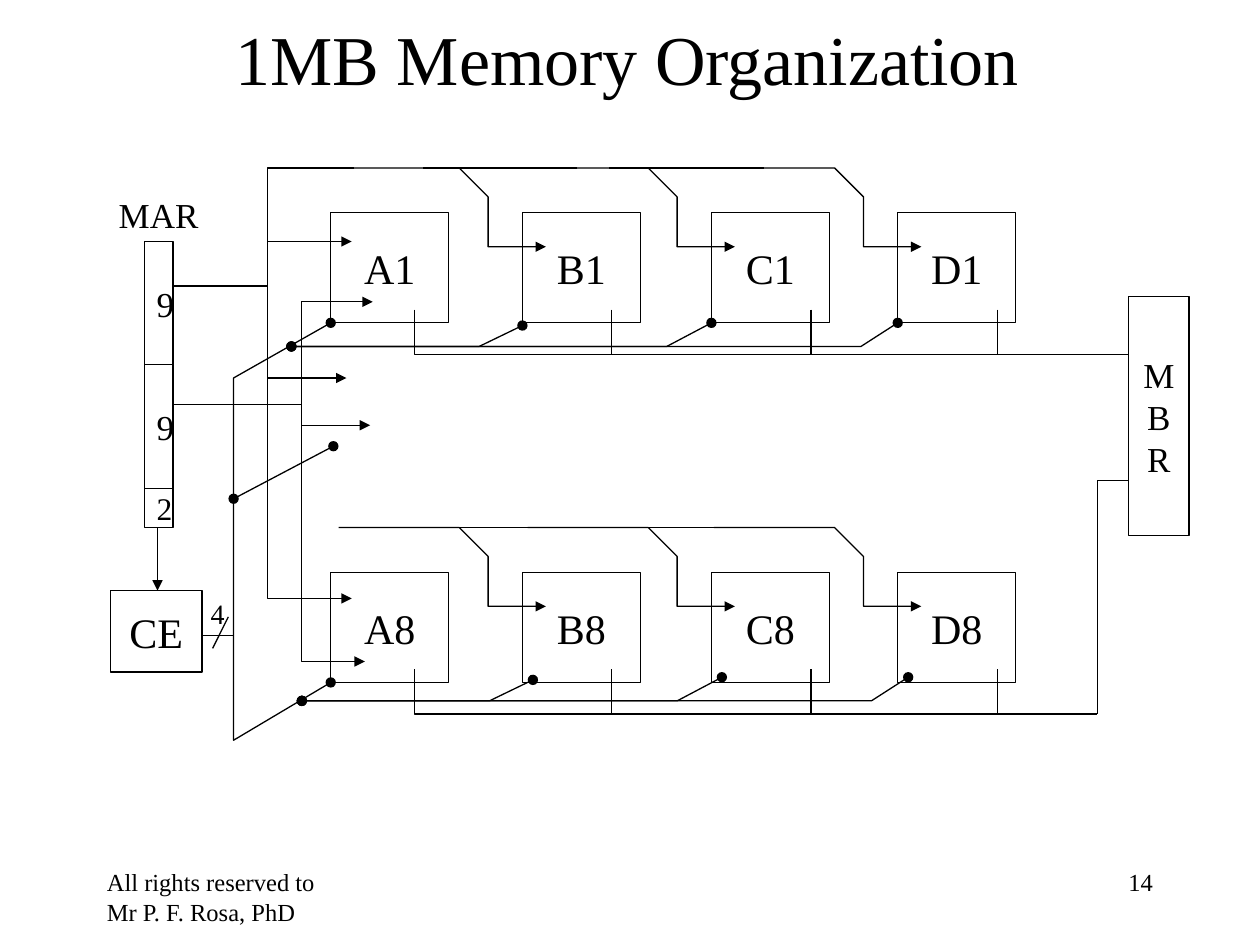
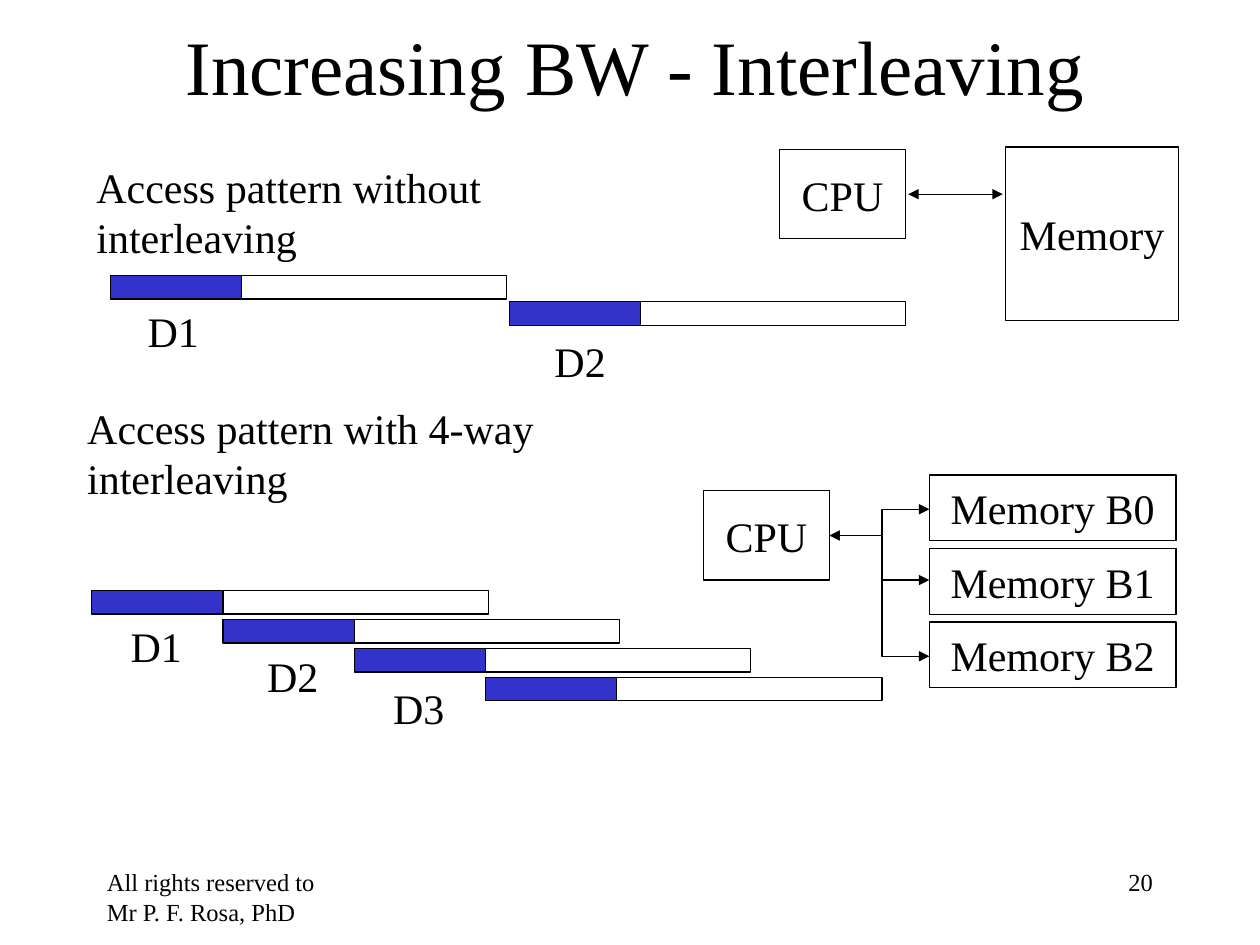
from lxml.etree import SubElement
from pptx import Presentation
from pptx.dml.color import RGBColor
from pptx.enum.shapes import MSO_CONNECTOR as CONNECTOR, MSO_SHAPE as SHAPE
from pptx.enum.text import MSO_ANCHOR as ANCHOR, MSO_AUTO_SIZE as AUTO, PP_ALIGN as ALIGN
from pptx.oxml.ns import qn
from pptx.util import Pt

PX = 9525  # EMU per px, 96 px to the inch
FONT = "Times New Roman"
BLACK, WHITE, BLUE = "000000", "FFFFFF", "3333CC"
FOOTER = "All rights reserved to Mr P. F. Rosa, PhD"
ARROW, DOT = "triangle", "oval"


def rgb(value):
    return RGBColor.from_string(value)


def emu(*lengths):
    return [n * PX for n in lengths]


def apply(target, values):
    for name, value in values.items():
        setattr(target, name, value)


class Deck:
    def __init__(self):
        self.prs = Presentation()
        apply(self.prs, {"slide_width": 960 * PX, "slide_height": 720 * PX})
        self.slide = None

    def new_slide(self, title, box, size, number):
        """Add a slide with its title, footer and page number."""
        self.slide = self.prs.slides.add_slide(self.prs.slide_layouts[5])
        sp = self.slide.shapes.title
        apply(sp, dict(zip(("left", "top", "width", "height"), emu(*box))))
        self.set_text(sp, title, size, ALIGN.CENTER, ANCHOR.MIDDLE)
        self.text(FOOTER, 72, 656, 200, 48, 14)
        self.text(str(number), 688, 656, 200, 48, 14, ALIGN.RIGHT)

    def set_text(self, sp, text, size, align, anchor):
        tf = sp.text_frame
        tf.text = text
        apply(tf, {"word_wrap": True, "auto_size": AUTO.NONE, "vertical_anchor": anchor})
        for p in tf.paragraphs:
            p.alignment = align
            for r in p.runs:
                apply(r.font, {"name": FONT, "size": Pt(size)})
                r.font.color.rgb = rgb(BLACK)

    def text(self, text, x, y, w, h, size=24, align=ALIGN.LEFT):
        sp = self.slide.shapes.add_textbox(*emu(x, y, w, h))
        self.set_text(sp, text, size, align, ANCHOR.TOP)

    def box(self, x, y, w, h, text="", size=24, fill=None):
        sp = self.slide.shapes.add_shape(SHAPE.RECTANGLE, *emu(x, y, w, h))
        sp.shadow.inherit = False
        if fill:
            sp.fill.solid()
            sp.fill.fore_color.rgb = rgb(fill)
        else:
            sp.fill.background()
        self.outline(sp)
        if text:
            self.set_text(sp, text, size, ALIGN.CENTER, ANCHOR.MIDDLE)

    def outline(self, sp):
        sp.line.color.rgb = rgb(BLACK)
        sp.line.width = Pt(0.75)

    def wire(self, *points, head=None, tail=None):
        """Draw a connector through two points, or an open outline through more."""
        shapes = self.slide.shapes
        if len(points) == 2:
            sp = shapes.add_connector(CONNECTOR.STRAIGHT, *emu(*points[0], *points[1]))
        else:
            outline = shapes.build_freeform(*points[0], scale=PX)
            outline.add_line_segments(points[1:], close=False)
            sp = outline.convert_to_shape()
            sp.fill.background()
        self.outline(sp)
        props = sp._element.spPr
        for tag, end in (("a:headEnd", head), ("a:tailEnd", tail)):
            if end:
                SubElement(props.find(qn("a:ln")), qn(tag), type=end)
        SubElement(props, qn("a:effectLst"))

    def access_bar(self, x, y):
        """Draw one memory access: a blue start and a white rest."""
        self.box(x, y, 100, 18, fill=BLUE)
        self.box(x + 100, y, 202, 18)


def chip_row(deck, number, dy):
    """Draw the four chips of one bit, with row feeds and data outputs."""
    columns = dict(zip("ABCD", (252, 398, 542, 684)))
    for letter, x in columns.items():
        deck.box(x, 162 + dy, 90, 84, f"{letter}{number}")
    bus, entry = 128 + dy, 188 + dy
    for letter in "BCD":
        x = columns[letter]
        deck.wire((x - 140, bus), (x - 48, bus), (x - 26, bus + 22),
                  (x - 26, entry), (x + 18, entry), tail=ARROW)
        if letter != "B":
            deck.wire((x - 102, bus), (x - 220, bus))
    top, bottom = 236 + dy, 270 + dy
    deck.wire((316, top), (316, bottom), (836, bottom))
    for x in (466, 618, 760):
        deck.wire((x, top), (x, bottom))


def chip_selects(deck, dx, dy):
    """Draw the chip enable lines to columns B, C and D."""
    start, level = 222 + dx, 264 + dy
    for bend, end, rise in ((365, 398, 16), (508, 542, 18), (656, 684, 18)):
        deck.wire((start, level), (bend + dx, level), (end + dx, level - rise),
                  head=DOT, tail=DOT)


def memory_organization(deck):
    deck.new_slide("1MB Memory Organization", (70, 0, 816, 88), 40, 14)
    deck.text("MAR", 81, 143, 81, 41, 20)
    for y, h, bits, size in ((184, 94, "9", 20), (278, 94, "9", 20), (372, 30, "2", 18)):
        deck.box(110, y, 22, h, bits, size)
    for number, dy in ((1, 0), (8, 274)):
        chip_row(deck, number, dy)

    # Column address
    deck.wire((132, 308), (230, 308))
    deck.wire((284, 230), (230, 230), (230, 504), (278, 504), head=ARROW, tail=ARROW)
    deck.wire((230, 324), (282, 324), tail=ARROW)
    # Row address
    deck.wire((132, 218), (204, 218))
    deck.wire((270, 128), (204, 128), (204, 456), (268, 456), tail=ARROW)
    for y, end in ((184, 268), (288, 264)):
        deck.wire((204, y), (end, y), tail=ARROW)
    # Chip enable
    deck.box(84, 450, 70, 62, "CE")
    deck.wire((120, 402), (120, 450), tail=ARROW)
    deck.wire((154, 484), (178, 484))
    deck.wire((174, 470), (162, 494))
    deck.text("4", 151, 450, 30, 36, 16)
    deck.wire((252, 246), (178, 288), (178, 564), (252, 520), head=DOT, tail=DOT)
    deck.wire((178, 380), (254, 340), head=DOT, tail=DOT)
    for dx, dy in ((0, 0), (8, 270)):
        chip_selects(deck, dx, dy)
    # Data out
    deck.wire((836, 544), (836, 366), (878, 366))
    deck.wire((834, 270), (874, 270))
    deck.box(860, 226, 46, 182, "M\nB\nR", 20, WHITE)


def interleaving(deck):
    deck.new_slide("Increasing BW - Interleaving", (76, 0, 816, 98), 44, 20)
    deck.text("Access pattern without interleaving", 64, 118, 470, 48)
    for x, y in ((84, 210), (388, 230)):
        deck.access_bar(x, y)
    deck.box(594, 114, 96, 68, "CPU")
    deck.box(766, 112, 132, 132, "Memory")
    deck.wire((692, 148), (764, 148), head=ARROW, tail=ARROW)

    deck.text("Access pattern with 4-way interleaving", 57, 302, 516, 48)
    for i in range(4):
        deck.access_bar(70 + 100 * i, 450 + 22 * i)
    deck.box(536, 374, 96, 68, "CPU")
    for bank in range(3):
        deck.box(708, 362 + 56 * bank, 188, 50, f"Memory B{bank}")
    deck.wire((708, 388), (672, 388), (672, 500), (708, 500), head=ARROW, tail=ARROW)
    deck.wire((708, 442), (672, 442), head=ARROW)
    deck.wire((672, 408), (632, 408), tail=ARROW)

    for label, x, y in (("D1", 103, 228), ("D2", 413, 251),
                        ("D1", 90, 468), ("D2", 194, 491), ("D3", 290, 515)):
        deck.text(label, x, y, 64, 48)


def main():
    deck = Deck()
    memory_organization(deck)
    interleaving(deck)
    deck.prs.save("out.pptx")


if __name__ == "__main__":
    main()
